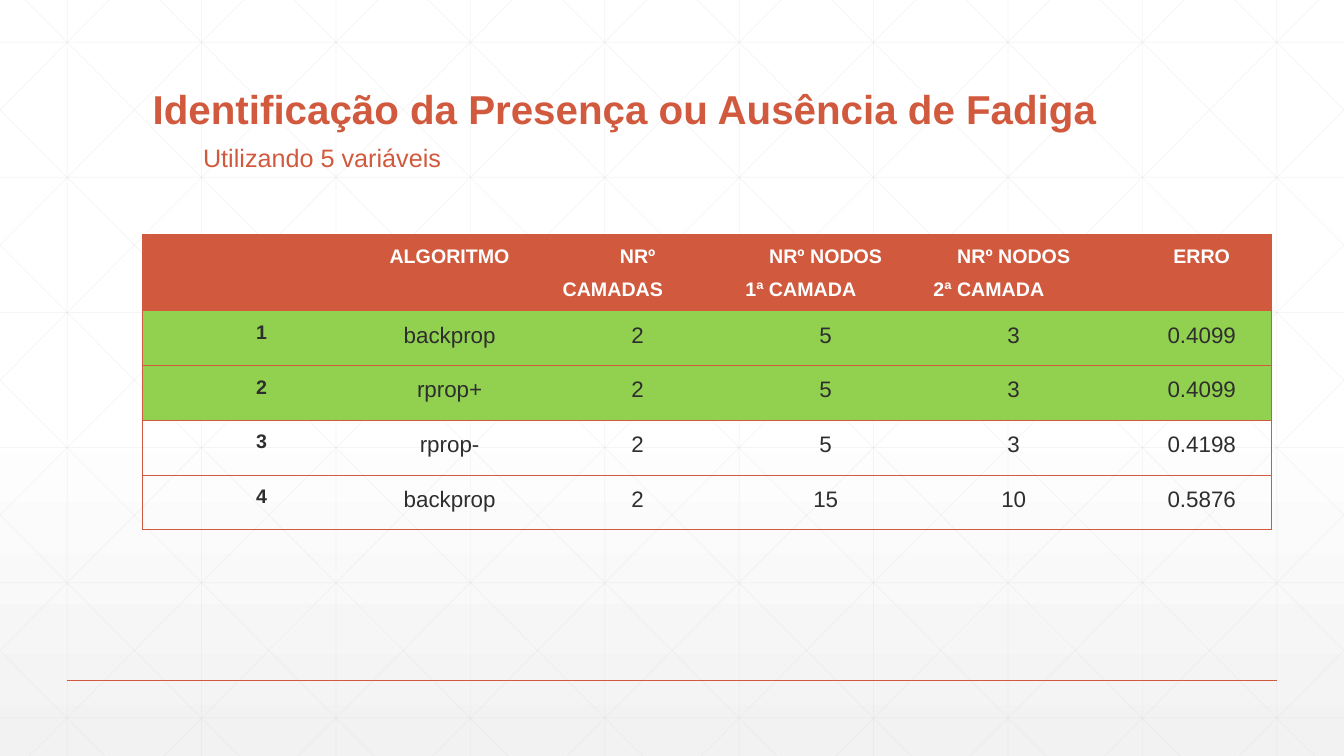
import pptx
import pptx.dml.color
import pptx.enum.dml
import pptx.enum.shapes
import pptx.enum.text
import pptx.oxml
import pptx.oxml.ns
import pptx.util

Pt = pptx.util.Pt
WIDTH, HEIGHT = 960, 540
COLORS = {
    "accent": "D15A3E",
    "grid": "D9D9D9",
    "highlight": "92D050",
    "text": "2D2E2D",
    "white": "FFFFFF",
    "shade": "F2F2F2",
}
HEADER = ["", "ALGORITMO", "NRº CAMADAS", "NRº NODOS 1ª CAMADA",
          "NRº NODOS 2ª CAMADA", "ERRO"]
RESULTS = [
    ["1", "backprop", "2", "5", "3", "0.4099"],
    ["2", "rprop+", "2", "5", "3", "0.4099"],
    ["3", "rprop-", "2", "5", "3", "0.4198"],
    ["4", "backprop", "2", "15", "10", "0.5876"],
]
HIGHLIGHTED_ROWS = (1, 2)


def color(name):
    """Return the named colour as an RGB value."""
    return pptx.dml.color.RGBColor.from_string(COLORS[name])


def add_line(page, start, end, name, weight, opacity=None):
    """Draw a flat straight line between two points."""
    line = page.shapes.add_connector(
        pptx.enum.shapes.MSO_CONNECTOR.STRAIGHT,
        Pt(start[0]), Pt(start[1]), Pt(end[0]), Pt(end[1]))
    line.line.color.rgb = color(name)
    line.line.width = Pt(weight)
    properties = line._element.spPr
    if opacity is not None:
        shade = properties.find(".//" + pptx.oxml.ns.qn("a:srgbClr"))
        alpha = pptx.oxml.ns.qn("a:alpha")
        shade.append(shade.makeelement(alpha, {"val": str(opacity * 1000)}))
    effects = pptx.oxml.ns.qn("a:effectLst")
    properties.append(properties.makeelement(effects, {}))


def draw_background(page, width, height):
    """Fill the page with a soft gradient under a lattice of fine lines."""
    fill = page.background.fill
    fill.gradient()
    fill.gradient_angle = 270
    for stop, position, name in zip(fill.gradient_stops, (0.53, 1),
                                    ("white", "shade")):
        stop.position = position
        stop.color.rgb = color(name)

    lines = [((48 + 96 * i, 0), (48 + 96 * i, height)) for i in range(10)]
    lines += [((0, 30.2 + 96.5 * i), (width, 30.2 + 96.5 * i))
              for i in range(6)]
    run = 537
    slope = height / run
    for i in range(-5, 10):
        origin = 18 + 96 * i
        left, right = max(origin, 0), min(origin + run, width)
        top, bottom = (left - origin) * slope, (right - origin) * slope
        lines.append(((left, top), (right, bottom)))
        lines.append(((width - left, top), (width - right, bottom)))
    for start, end in lines:
        add_line(page, start, end, "grid", 0.5, 25)


def draw_title(page, left, top, width, height):
    """Write the heading and its indented subtitle at the foot of the box."""
    box = page.shapes.add_textbox(Pt(left), Pt(top), Pt(width), Pt(height))
    frame = box.text_frame
    frame.word_wrap = True
    frame.vertical_anchor = pptx.enum.text.MSO_ANCHOR.BOTTOM
    para = frame.paragraphs[0]
    para.text = "Identificação da Presença ou Ausência de Fadiga\v\t"
    para.line_spacing = 0.9
    subtitle = para.add_run()
    subtitle.text = "Utilizando 5 variáveis"
    for span in para.runs:
        span.font.name = "Arial"
        span.font.size = Pt(28.8)
        span.font.bold = True
        span.font.color.rgb = color("accent")
    subtitle.font.size = Pt(18)
    subtitle.font.bold = False


def set_borders(cell, first, last):
    """Rule the cell above and below, and at the outer sides of the table."""
    visible = {"L": first, "R": last, "T": True, "B": True}
    properties = cell._tc.get_or_add_tcPr()
    for index, (side, shown) in enumerate(visible.items()):
        paint = (f'<a:solidFill><a:srgbClr val="{COLORS["accent"]}"/>'
                 '</a:solidFill>' if shown else '<a:noFill/>')
        properties.insert(index, pptx.oxml.parse_xml(
            f'<a:ln{side} {pptx.oxml.ns.nsdecls("a")} w="{Pt(0.5)}">'
            f'{paint}</a:ln{side}>'))


def format_cell(cell, row, column):
    """Style one cell by its place in the table."""
    if row == 0:
        cell.fill.solid()
        cell.fill.fore_color.rgb = color("accent")
    elif row in HIGHLIGHTED_ROWS:
        cell.fill.solid()
        cell.fill.fore_color.rgb = color("highlight")
    else:
        cell.fill.background()
    set_borders(cell, column == 0, column == len(HEADER) - 1)
    cell.margin_left = cell.margin_right = Pt(5)
    cell.margin_top = cell.margin_bottom = 0
    para = cell.text_frame.paragraphs[0]
    para.alignment = pptx.enum.text.PP_ALIGN.CENTER
    para.line_spacing = 1.5
    para.space_after = Pt(12)
    para._p.get_or_add_pPr().set("indent", str(Pt(35.4)))
    strong = row == 0 or column == 0
    for span in para.runs:
        span.font.name = "Arial"
        span.font.size = Pt(14 if strong else 16)
        span.font.bold = strong
        span.font.color.rgb = color("white" if row == 0 else "text")


def draw_results(page, left, top, width, height):
    """Place the table of algorithms and errors in the box."""
    rows = [HEADER] + RESULTS
    table = page.shapes.add_table(
        len(rows), len(HEADER), Pt(left), Pt(top), Pt(width), Pt(height)).table
    table.first_row = False
    table.horz_banding = False
    header_height = 54.6
    for index, line in enumerate(table.rows):
        line.height = Pt(header_height if index == 0 else
                         (height - header_height) / len(RESULTS))
    for row, values in enumerate(rows):
        for column, value in enumerate(values):
            cell = table.cell(row, column)
            cell.text_frame.text = value
            format_cell(cell, row, column)


def main():
    """Build the slide and save it."""
    deck = pptx.Presentation()
    deck.slide_width, deck.slide_height = Pt(WIDTH), Pt(HEIGHT)
    page = deck.slides.add_slide(deck.slide_layouts[6])
    draw_background(page, WIDTH, HEIGHT)
    add_line(page, (48, 486), (WIDTH - 48, 486), "accent", 1)
    draw_title(page, 102, 39.6, 756, 90)
    draw_results(page, 102, 167.3, 806, 211)
    deck.save("out.pptx")


if __name__ == "__main__":
    main()
